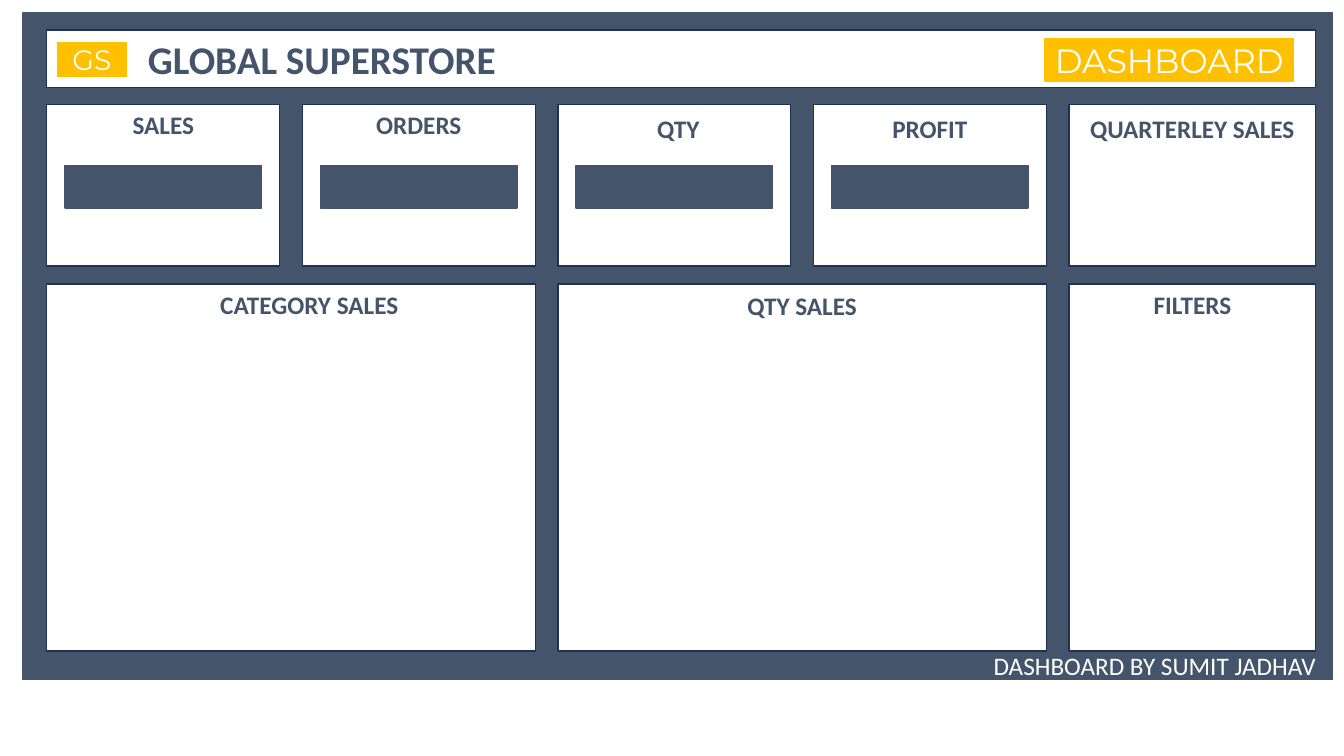
from pptx import Presentation
from pptx.dml.color import RGBColor
from pptx.enum.shapes import MSO_SHAPE
from pptx.enum.text import MSO_ANCHOR, MSO_AUTO_SIZE, PP_ALIGN
from pptx.util import Cm, Pt

RECTANGLE = MSO_SHAPE.RECTANGLE
MIDDLE = MSO_ANCHOR.MIDDLE
GROW = MSO_AUTO_SIZE.SHAPE_TO_FIT_TEXT
LEFT, CENTER = PP_ALIGN.LEFT, PP_ALIGN.CENTER

SLATE = RGBColor(0x44, 0x54, 0x6A)
NAVY = RGBColor(0x1E, 0x32, 0x56)
AMBER = RGBColor(0xFF, 0xC0, 0x00)
WHITE = RGBColor(0xFF, 0xFF, 0xFF)
BODY_FONT, BADGE_FONT = "Calibri", "Montserrat"

# Card grid, in centimetres
GRID_LEFT, STEP, CARD_WIDTH = 1.18, 6.44, 5.87
WIDE_WIDTH = STEP + CARD_WIDTH
SIDE_WIDTH = 6.22
KPI_TOP, KPI_HEIGHT = 2.64, 4.06
PANEL_TOP, PANEL_HEIGHT = 7.16, 9.25
BAR_WIDTH, BAR_TOP, BAR_HEIGHT = 4.95, 4.17, 1.07
TITLE_HEIGHT = 1.02

# Column, card width, title, title width, title shift right and down
KPI_CARDS = [
    (0, CARD_WIDTH, "SALES", 4.95, 0, 0),
    (1, CARD_WIDTH, "ORDERS", 4.95, 0, 0),
    (2, CARD_WIDTH, "QTY", 4.95, 0.1, 0.08),
    (3, CARD_WIDTH, "PROFIT", 4.95, 0, 0.08),
    (4, SIDE_WIDTH, "QUARTERLEY SALES", 5.69, 0, 0.08),
]
PANELS = [
    (0, WIDE_WIDTH, "CATEGORY SALES", 5.87, 0.46, 0),
    (2, WIDE_WIDTH, "QTY SALES", 5.87, 0, 0.03),
    (4, SIDE_WIDTH, "FILTERS", 5.87, 0, 0),
]


def add_block(page, left, top, width, height, fill, line):
    block = page.shapes.add_shape(RECTANGLE, Cm(left), Cm(top), Cm(width), Cm(height))
    block.shadow.inherit = False
    block.fill.solid()
    block.fill.fore_color.rgb = fill
    block.line.color.rgb = line
    block.line.width = Pt(1)
    return block


def write(shape, text, size, color, font=BODY_FONT, bold=False, align=CENTER):
    para = shape.text_frame.paragraphs[0]
    para.alignment = align
    span = para.add_run()
    span.text = text
    span.font.name = font
    span.font.size = Pt(size)
    span.font.bold = bold
    span.font.color.rgb = color


def add_label(page, left, top, width, height, text, size, color, **style):
    box = page.shapes.add_textbox(Cm(left), Cm(top), Cm(width), Cm(height))
    box.text_frame.word_wrap = True
    box.text_frame.auto_size = GROW
    write(box, text, size, color, **style)


def add_card(page, top, height, column, width, title, title_width, right, down):
    left = GRID_LEFT + column * STEP
    add_block(page, left, top, width, height, WHITE, NAVY)
    title_left = left + (width - title_width) / 2 + right
    add_label(page, title_left, top + down, title_width, TITLE_HEIGHT,
              title, 18, SLATE, bold=True)


def add_header(page):
    width = 4 * STEP + SIDE_WIDTH
    add_block(page, GRID_LEFT, 0.76, width, 1.45, WHITE, NAVY)
    add_label(page, 3.48, 0.76, 9.47, 1.45, "GLOBAL SUPERSTORE", 28, SLATE,
              bold=True, align=LEFT)
    add_block(page, 26.34, 0.97, 6.25, 1.07, AMBER, AMBER)
    add_label(page, 26.19, 0.89, 6.55, 1.27, "DASHBOARD", 24, WHITE, font=BADGE_FONT)
    badge = add_block(page, 1.45, 1.07, 1.73, 0.86, AMBER, AMBER)
    badge.text_frame.vertical_anchor = MIDDLE
    write(badge, "GS", 20, WHITE, font=BADGE_FONT)


def main():
    deck = Presentation()
    deck.slide_width, deck.slide_height = Cm(33.87), Cm(19.05)
    page = deck.slides.add_slide(deck.slide_layouts[6])

    # Backdrop and header
    add_block(page, 0.58, 0.33, 33, 16.79, SLATE, SLATE)
    add_header(page)

    # Key figures, with a value bar in all but the side column
    for card in KPI_CARDS:
        add_card(page, KPI_TOP, KPI_HEIGHT, *card)
    for column in range(4):
        bar_left = GRID_LEFT + column * STEP + (CARD_WIDTH - BAR_WIDTH) / 2
        add_block(page, bar_left, BAR_TOP, BAR_WIDTH, BAR_HEIGHT, SLATE, SLATE)

    # Large panels
    for panel in PANELS:
        add_card(page, PANEL_TOP, PANEL_HEIGHT, *panel)

    # Author line
    add_label(page, 24.79, 16.26, 9.07, TITLE_HEIGHT, "DASHBOARD BY SUMIT JADHAV",
              18, WHITE, align=LEFT)

    deck.save("out.pptx")


main()
